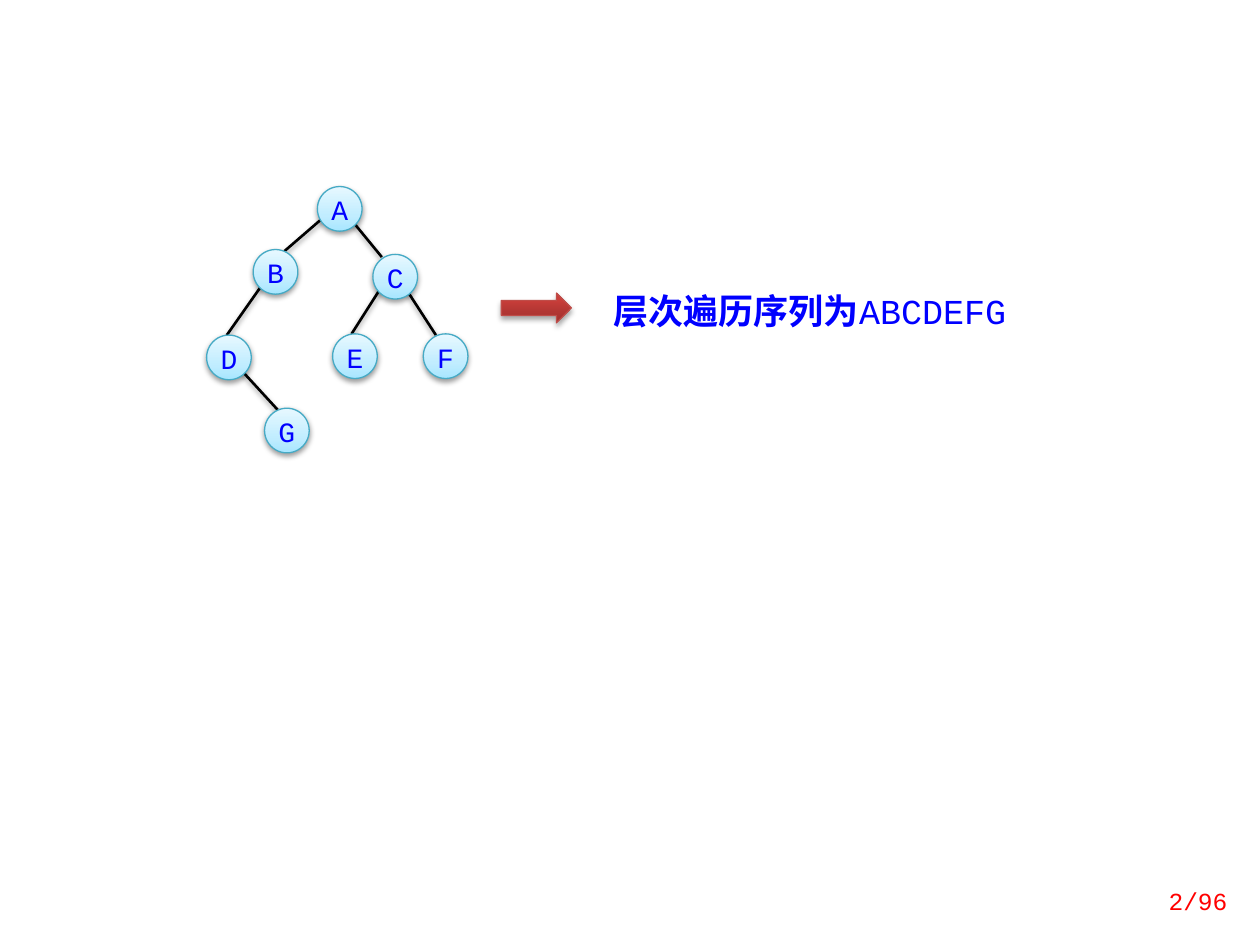
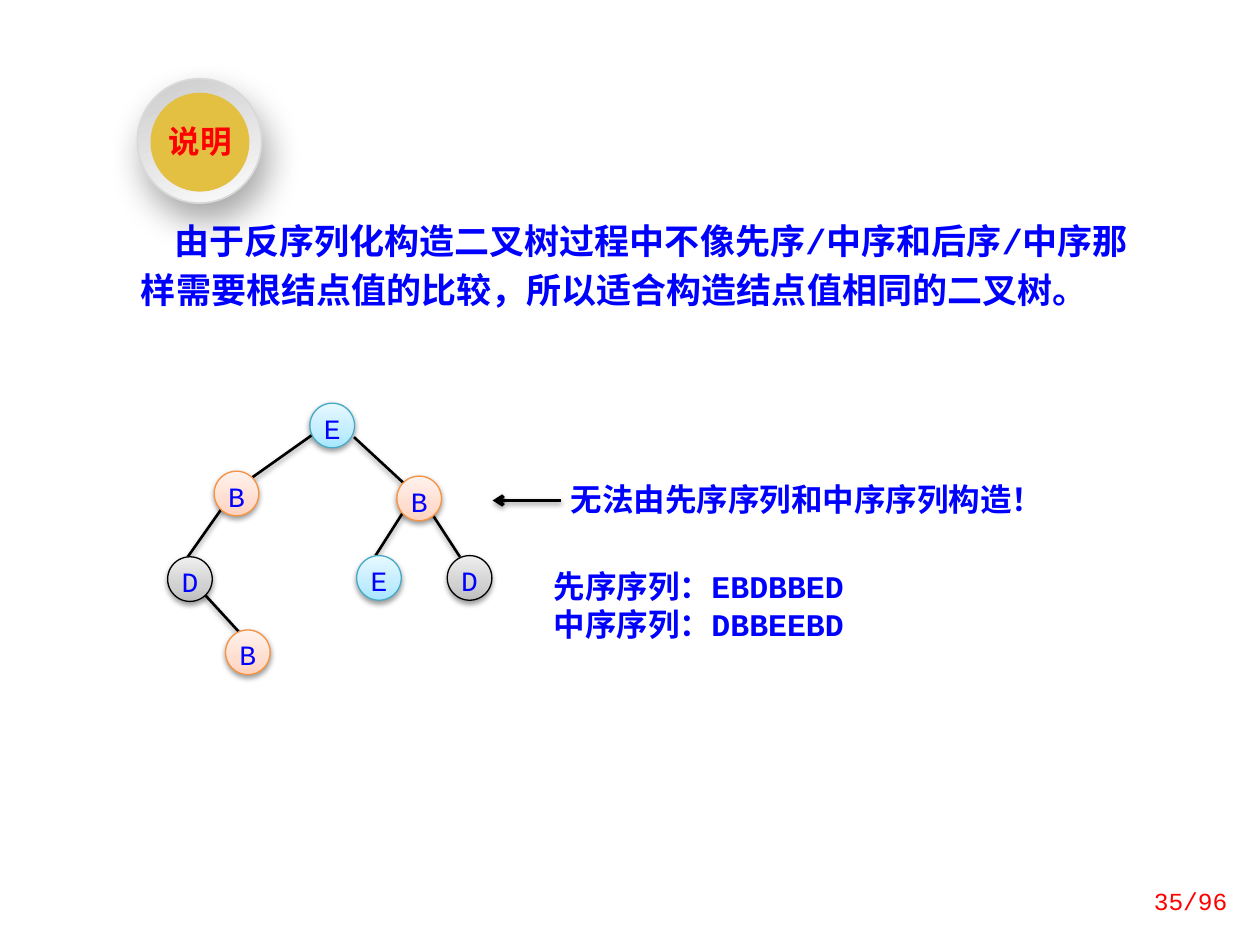
from lxml import etree
from pptx import Presentation
from pptx.dml.color import RGBColor
from pptx.enum.shapes import MSO_CONNECTOR, MSO_SHAPE
from pptx.enum.text import MSO_ANCHOR, PP_ALIGN
from pptx.oxml.ns import qn
from pptx.util import Pt

LINE = MSO_CONNECTOR.STRAIGHT
OVAL, ARROW = MSO_SHAPE.OVAL, MSO_SHAPE.RIGHT_ARROW
LEFT, CENTER, RIGHT = PP_ALIGN.LEFT, PP_ALIGN.CENTER, PP_ALIGN.RIGHT
TOP, MIDDLE = MSO_ANCHOR.TOP, MSO_ANCHOR.MIDDLE

BLACK = RGBColor(0x00, 0x00, 0x00)
BLUE = RGBColor(0x00, 0x00, 0xFF)
RED = RGBColor(0xFF, 0x00, 0x00)
GOLD = RGBColor(0xE3, 0xBF, 0x42)
RIM = RGBColor(0xD9, 0xD9, 0xD9)
BRICK = RGBColor(0xBF, 0x4C, 0x48)
TEAL = RGBColor(0x46, 0xAA, 0xC5)
AMBER = RGBColor(0xF6, 0x92, 0x40)

MONO, SANS = "Courier New", "Noto Sans CJK SC"

# Gradient stops (percent, colour) and node styles (stops, outline)
SKY = [(0, "A7E6FF"), (35, "C1EDFF"), (100, "E7F8FF")]
PEACH = [(0, "FFD2BD"), (35, "FFDED0"), (100, "FFF2ED")]
GRAY = [(0, "BDBDBD"), (35, "D1D1D1"), (100, "EEEEEE")]
RUST = [(0, "9C2F2D"), (80, "CB3E3A"), (100, "CE3B37")]
SILVER = [(0, "CCCCCC"), (100, "FCFCFC")]
COOL, WARM, DARK = (SKY, TEAL), (PEACH, AMBER), (GRAY, BLACK)

# Shadow: opacity percent, blur, distance, direction
SOFT, FIRM, DEEP = (38, 3.1, 1.6, 90), (35, 3.1, 1.8, 90), (34, 20, 10, 70)
NODE = 25.5


def finish(shape, shadow, stops=(), angle=270):
    """Give a shape or connector its gradient and its shadow."""
    props = shape.element.spPr
    if stops:
        shape.fill.gradient()
        shape.fill.gradient_angle = 360 - angle
        ramp = props.find(qn("a:gradFill")).find(qn("a:gsLst"))
        for old in list(ramp):
            ramp.remove(old)
        for pos, tint in stops:
            stop = etree.SubElement(ramp, qn("a:gs"), pos=str(pos * 1000))
            etree.SubElement(stop, qn("a:srgbClr"), val=tint)
    alpha, blur, dist, way = shadow
    effects = etree.SubElement(props, qn("a:effectLst"))
    outer = etree.SubElement(
        effects, qn("a:outerShdw"), blurRad=str(Pt(blur)), dist=str(Pt(dist)),
        dir=str(way * 60000), algn="ctr", rotWithShape="0")
    shade = etree.SubElement(outer, qn("a:srgbClr"), val="000000")
    etree.SubElement(shade, qn("a:alpha"), val=str(alpha * 1000))


def write(shape, text, size, color=BLUE, bold=True, align=LEFT,
          anchor=TOP, space=None, font=MONO):
    """Set the text of a shape and format every run."""
    frame = shape.text_frame
    frame.text = text
    frame.word_wrap = True
    frame.vertical_anchor = anchor
    for para in frame.paragraphs:
        para.alignment = align
        para.line_spacing = space
        for run in para.runs:
            run.font.name = font
            run.font.size = Pt(size)
            run.font.bold = bold
            run.font.color.rgb = color
    return frame


deck = Presentation()
deck.slide_width, deck.slide_height = Pt(720), Pt(540)
blank = deck.slide_layouts[6]
first, second = [deck.slides.add_slide(blank) for _ in range(2)]

# Page numbers
for slide, page in ((first, "2/96"), (second, "35/96")):
    box = slide.shapes.add_textbox(Pt(632), Pt(500.5), Pt(76.5), Pt(28.5))
    write(box, page, 14, RED, False, RIGHT, MIDDLE)

# Subtrees: node corners and edge ends, shared by both trees
left_nodes = [(144.7, 142.6), (118.1, 191.5), (151.2, 233.3)]
left_edges = [(151.9, 159.8, 129.6, 191.5), (135.4, 208.8, 159.8, 235.4)]
right_nodes = [(213.1, 145.4), (190.1, 190.8), (241.9, 190.8)]
right_edges = [(217.4, 164.9, 200.9, 190.8), (230.4, 162.7, 249.1, 191.5)]

# Trees: slide, root, root edges, shifts of the subtrees, labels, styles,
# line spacing; the order is root, left subtree, right subtree
trees = [
    (first, (181.4, 106.6),
     [(193.7, 116.6, 156.2, 149), (201.6, 126.7, 218.2, 146.9)],
     (0, 0, 0), "ABDGCEF", [COOL] * 7, None),
    (second, (177.1, 230.4),
     [(178.6, 248.4, 144, 272.9), (202.3, 249.8, 230.4, 275.8)],
     (-22.3, 13.7, 126.7), "EBDBBED",
     [COOL, WARM, DARK, WARM, WARM, COOL, DARK], Pt(20)),
]
for slide, root, edges, (left, right, down), labels, styles, space in trees:
    nodes, edges = [root], list(edges)
    for shift, spots, links in ((left, left_nodes, left_edges),
                                (right, right_nodes, right_edges)):
        nodes += [(x + shift, y + down) for x, y in spots]
        edges += [(a + shift, b + down, c + shift, d + down)
                  for a, b, c, d in links]
    for ends in edges:
        edge = slide.shapes.add_connector(LINE, *[Pt(v) for v in ends])
        edge.line.color.rgb = BLACK
        edge.line.width = Pt(1.5)
        finish(edge, SOFT)
    for (x, y), label, (stops, rim) in zip(nodes, labels, styles):
        node = slide.shapes.add_shape(OVAL, Pt(x), Pt(y), Pt(NODE), Pt(NODE))
        node.line.color.rgb = rim
        node.line.width = Pt(0.75)
        finish(node, SOFT, stops)
        frame = write(node, label, 16, bold=False, align=CENTER, space=space)
        frame.margin_left = frame.margin_right = 0
        frame.margin_top = frame.margin_bottom = 0

# Slide 1: arrow and level order
arrow = first.shapes.add_shape(ARROW, Pt(286.5), Pt(167.5), Pt(40), Pt(17))
arrow.line.color.rgb = BRICK
arrow.line.width = Pt(0.75)
finish(arrow, FIRM, RUST)
box = first.shapes.add_textbox(Pt(343.5), Pt(162), Pt(248), Pt(31.5))
para = write(box, "层次遍历序列为", 20).paragraphs[0]
run = para.add_run()
run.text = "ABCDEFG"
run.font.name, run.font.size, run.font.bold = MONO, Pt(20), False
run.font.color.rgb = BLUE

# Slide 2: explanation
box = second.shapes.add_textbox(Pt(73.5), Pt(118), Pt(596), Pt(64))
frame = write(
    box, "由于反序列化构造二叉树过程中不像先序/中序和后序/中序那样需要"
    "根结点值的比较，所以适合构造结点值相同的二叉树。", 20, space=Pt(28))
frame.paragraphs[0]._p.get_or_add_pPr().set("indent", str(Pt(19)))

# Slide 2: badge
ring = second.shapes.add_shape(OVAL, Pt(78.5), Pt(45), Pt(71), Pt(71))
ring.line.color.rgb = RIM
ring.line.width = Pt(1)
finish(ring, DEEP, SILVER, 70)
disc = second.shapes.add_shape(OVAL, Pt(86), Pt(53), Pt(56.5), Pt(56.5))
disc.fill.solid()
disc.fill.fore_color.rgb = GOLD
disc.line.fill.background()
disc.shadow.inherit = False
box = second.shapes.add_textbox(Pt(89), Pt(70.5), Pt(51), Pt(24.5))
frame = write(box, "说明", 18, RED, align=CENTER, space=0.8, font=SANS)
frame.word_wrap = False

# Slide 2: remark, its arrow and the two sequences
for x, y, wide, high, text in (
        (319, 270.5, 310, 29, "无法由先序序列和中序序列构造！"),
        (309.5, 320.5, 208, 51, "先序序列：EBDBBED\n中序序列：DBBEEBD")):
    box = second.shapes.add_textbox(Pt(x), Pt(y), Pt(wide), Pt(high))
    write(box, text, 18)
hint = second.shapes.add_connector(LINE, Pt(320.5), Pt(286), Pt(281.5), Pt(286))
hint.line.color.rgb = BLACK
hint.line.width = Pt(2)
etree.SubElement(hint.element.spPr.find(qn("a:ln")), qn("a:tailEnd"), type="arrow")
finish(hint, SOFT)

deck.save("out.pptx")
